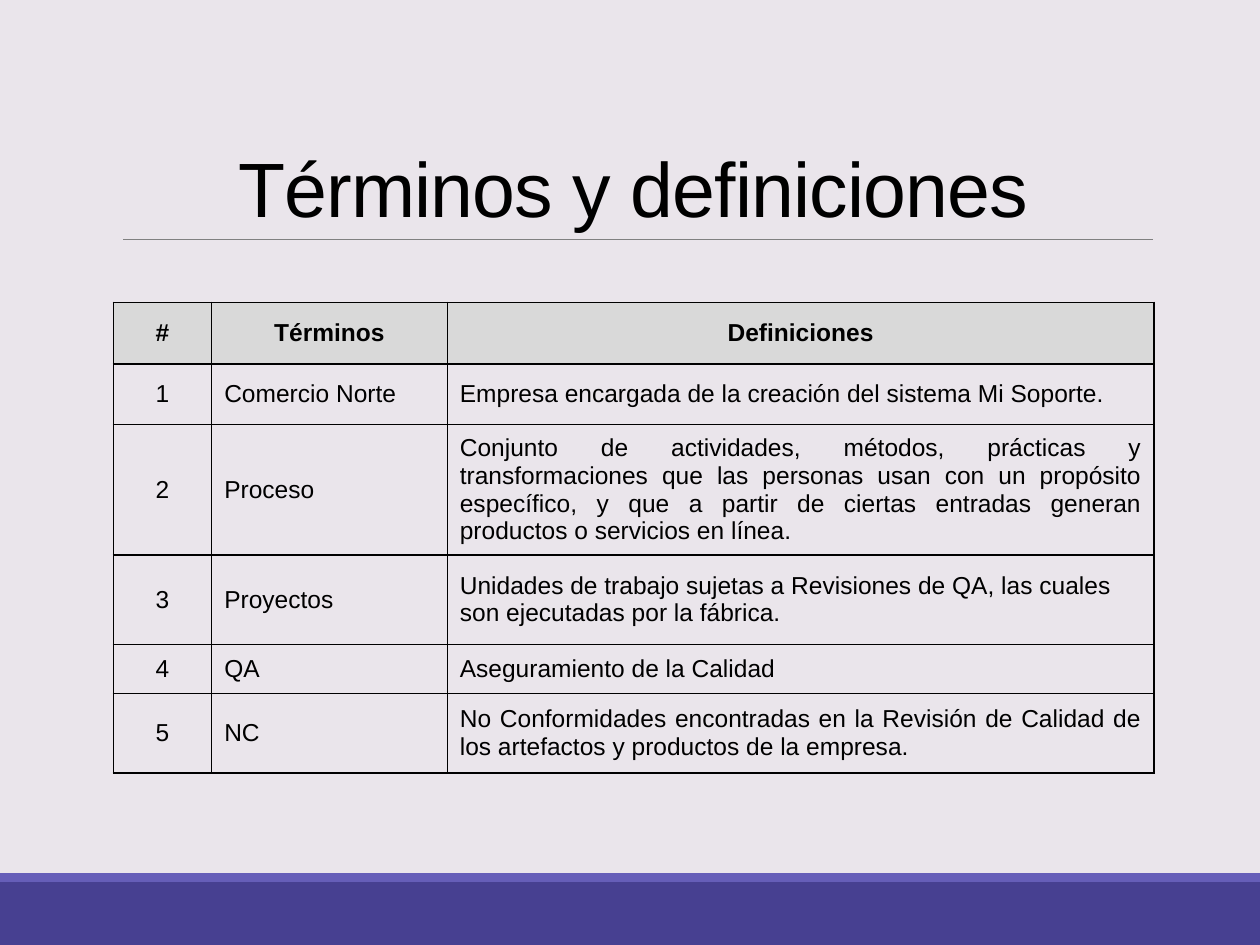
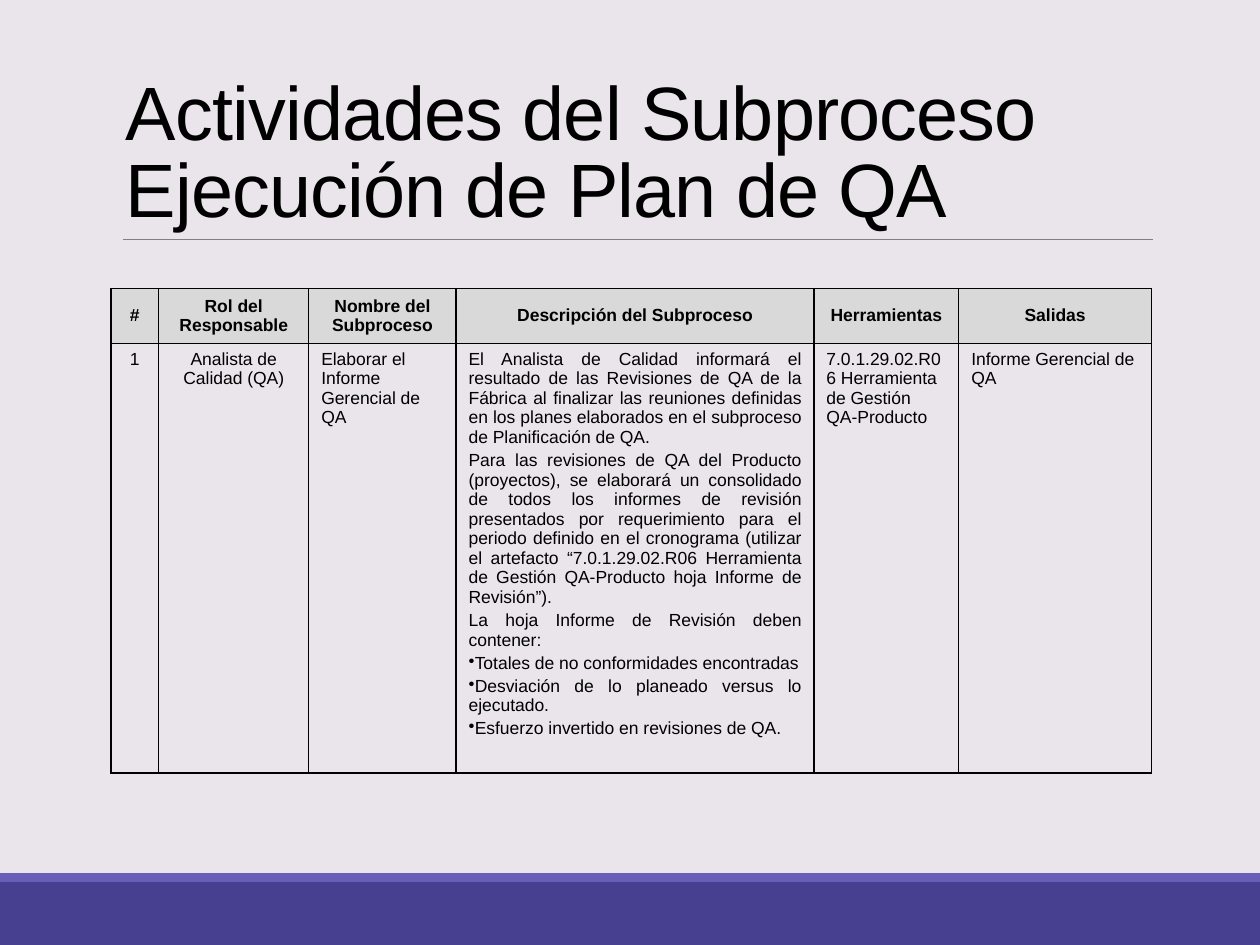
from lxml import etree
from pptx import Presentation
from pptx.dml.color import RGBColor
from pptx.enum.shapes import MSO_CONNECTOR, MSO_SHAPE
from pptx.enum.text import MSO_ANCHOR, PP_ALIGN
from pptx.oxml.ns import qn
from pptx.util import Inches, Pt

LEFT, MID, JUST = PP_ALIGN.LEFT, PP_ALIGN.CENTER, PP_ALIGN.JUSTIFY
TOP, CENTER, BOTTOM = MSO_ANCHOR.TOP, MSO_ANCHOR.MIDDLE, MSO_ANCHOR.BOTTOM
RECT, LINE = MSO_SHAPE.RECTANGLE, MSO_CONNECTOR.STRAIGHT

# Shared colours and type
theme = {
    "font": "Arial",
    "ink": RGBColor.from_string("000000"),
    "back": RGBColor.from_string("EAE5EB"),
    "head": RGBColor.from_string("D9D9D9"),
    "rule": RGBColor.from_string("808080"),
    "track": "-50",
    "lead": 0.85,
}
bands = [(7, 0.5, "474091"), (6.93, 0.07, "665EB8")]

# What each slide holds
pages = [
    {
        "title": "Términos y definiciones",
        "size": 44, "align": MID,
        "at": (0.9, 2.4), "text": 14, "anchor": CENTER,
        "cols": [0.78, 1.87, 5.61],
        "rows": [0.49, 0.48, 0.97, 0.71, 0.39, 0.63],
        "aligns": [MID, LEFT, JUST],
        "cells": [
            ["#", "Términos", "Definiciones"],
            ["1", "Comercio Norte",
             "Empresa encargada de la creación del sistema Mi Soporte."],
            ["2", "Proceso",
             "Conjunto de actividades, métodos, prácticas y transformaciones "
             "que las personas usan con un propósito específico, y que a partir "
             "de ciertas entradas generan productos o servicios en línea."],
            ["3", "Proyectos",
             "Unidades de trabajo sujetas a Revisiones de QA, las cuales "
             "son ejecutadas por la fábrica."],
            ["4", "QA", "Aseguramiento de la Calidad"],
            ["5", "NC",
             "No Conformidades encontradas en la Revisión de Calidad de los "
             "artefactos y productos de la empresa."],
        ],
        "special": {(3, 2): LEFT},
    },
    {
        "title": "Actividades del Subproceso\vEjecución de Plan de QA",
        "size": 43.2, "align": LEFT,
        "at": (0.88, 2.29), "text": 10, "anchor": TOP,
        "cols": [0.38, 1.19, 1.17, 2.84, 1.15, 1.53],
        "rows": [0.41, 3.19],
        "aligns": [MID, MID, LEFT, JUST, LEFT, LEFT],
        "cells": [
            ["#", "Rol del Responsable", "Nombre del Subproceso",
             "Descripción del Subproceso", "Herramientas", "Salidas"],
            ["1", "Analista de Calidad (QA)",
             "Elaborar el Informe Gerencial de QA",
             "El Analista de Calidad informará el resultado de las Revisiones "
             "de QA de la Fábrica al finalizar las reuniones definidas en los "
             "planes elaborados en el subproceso de Planificación de QA.\n"
             "Para las revisiones de QA del Producto (proyectos), se elaborará "
             "un consolidado de todos los informes de revisión presentados por "
             "requerimiento para el periodo definido en el cronograma (utilizar "
             "el artefacto “7.0.1.29.02.R06 Herramienta de Gestión QA-Producto "
             "hoja Informe de Revisión”).\n"
             "La hoja Informe de Revisión deben contener:\n"
             "•Totales de no conformidades encontradas\n"
             "•Desviación de lo planeado versus lo ejecutado.\n"
             "•Esfuerzo invertido en revisiones de QA.",
             "7.0.1.29.02.R06 Herramienta de Gestión QA-Producto",
             "Informe Gerencial de QA"],
        ],
        "special": {},
    },
]


def write(frame, text, size, bold, form):
    """Fill a text frame, one paragraph per line; a leading • is a bullet."""
    for i, line in enumerate(text.split("\n")):
        para = frame.add_paragraph() if i else frame.paragraphs[0]
        para.text = line.removeprefix("•")
        for key, val in form.items():
            setattr(para, key, val)
        if line.startswith("•"):
            etree.SubElement(para._p.get_or_add_pPr(), qn("a:buChar"), char="•")
        for run in para.runs:
            font = {"name": theme["font"], "size": Pt(size), "bold": bold}
            for key, val in font.items():
                setattr(run.font, key, val)
            run.font.color.rgb = theme["ink"]


def edge(cell):
    """Draw a thin border on all four sides of a cell."""
    props = cell._tc.get_or_add_tcPr()
    for i, side in enumerate(["lnL", "lnR", "lnT", "lnB"]):
        line = etree.Element(qn("a:" + side), w=str(Pt(1)))
        fill = etree.SubElement(line, qn("a:solidFill"))
        etree.SubElement(fill, qn("a:srgbClr"), val=str(theme["ink"]))
        props.insert(i, line)


prs = Presentation()
prs.slide_width, prs.slide_height = Inches(10), Inches(7.5)
ground = prs.slide_master.background.fill
ground.solid()
ground.fore_color.rgb = theme["back"]

for page in pages:
    slide = prs.slides.add_slide(prs.slide_layouts[6])
    shapes = slide.shapes

    # Footer bands
    for top, high, tint in bands:
        band = shapes.add_shape(RECT, 0, Inches(top), Inches(10), Inches(high))
        band.shadow.inherit = False
        band.fill.solid()
        band.fill.fore_color.rgb = RGBColor.from_string(tint)
        band.line.fill.background()

    # Rule under the title
    rule = shapes.add_connector(LINE, Inches(0.98), Inches(1.9), Inches(9.15), Inches(1.9))
    rule.line.color.rgb = theme["rule"]
    rule.line.width = Pt(0.5)
    etree.SubElement(rule._element.spPr, qn("a:effectLst"))

    # Title
    box = shapes.add_textbox(Inches(0.9), Inches(0.31), Inches(8.25), Inches(1.59))
    frame = box.text_frame
    for key, val in {"word_wrap": True, "vertical_anchor": BOTTOM}.items():
        setattr(frame, key, val)
    write(frame, page["title"], page["size"], False,
          {"alignment": page["align"], "line_spacing": theme["lead"]})
    for run in frame.paragraphs[0].runs:
        run.font._element.set("spc", theme["track"])

    # Table
    left, top = page["at"]
    cols, rows = page["cols"], page["rows"]
    grid = shapes.add_table(len(rows), len(cols), Inches(left), Inches(top),
                            Inches(sum(cols)), Inches(sum(rows))).table
    for key in ["first_row", "horz_banding"]:
        setattr(grid, key, False)
    for col, wide in zip(grid.columns, cols):
        col.width = Inches(wide)
    for r, high in enumerate(rows):
        grid.rows[r].height = Inches(high)
        for c, text in enumerate(page["cells"][r]):
            cell = grid.cell(r, c)
            head = r == 0
            if head:
                cell.fill.solid()
                cell.fill.fore_color.rgb = theme["head"]
            else:
                cell.fill.background()
            edge(cell)
            cell.vertical_anchor = CENTER if head else page["anchor"]
            align = MID if head else page["special"].get((r, c), page["aligns"][c])
            gap = Pt(0 if head else page["text"] * 0.2)
            write(cell.text_frame, text, page["text"], head,
                  {"alignment": align, "space_before": gap})

prs.save("out.pptx")
